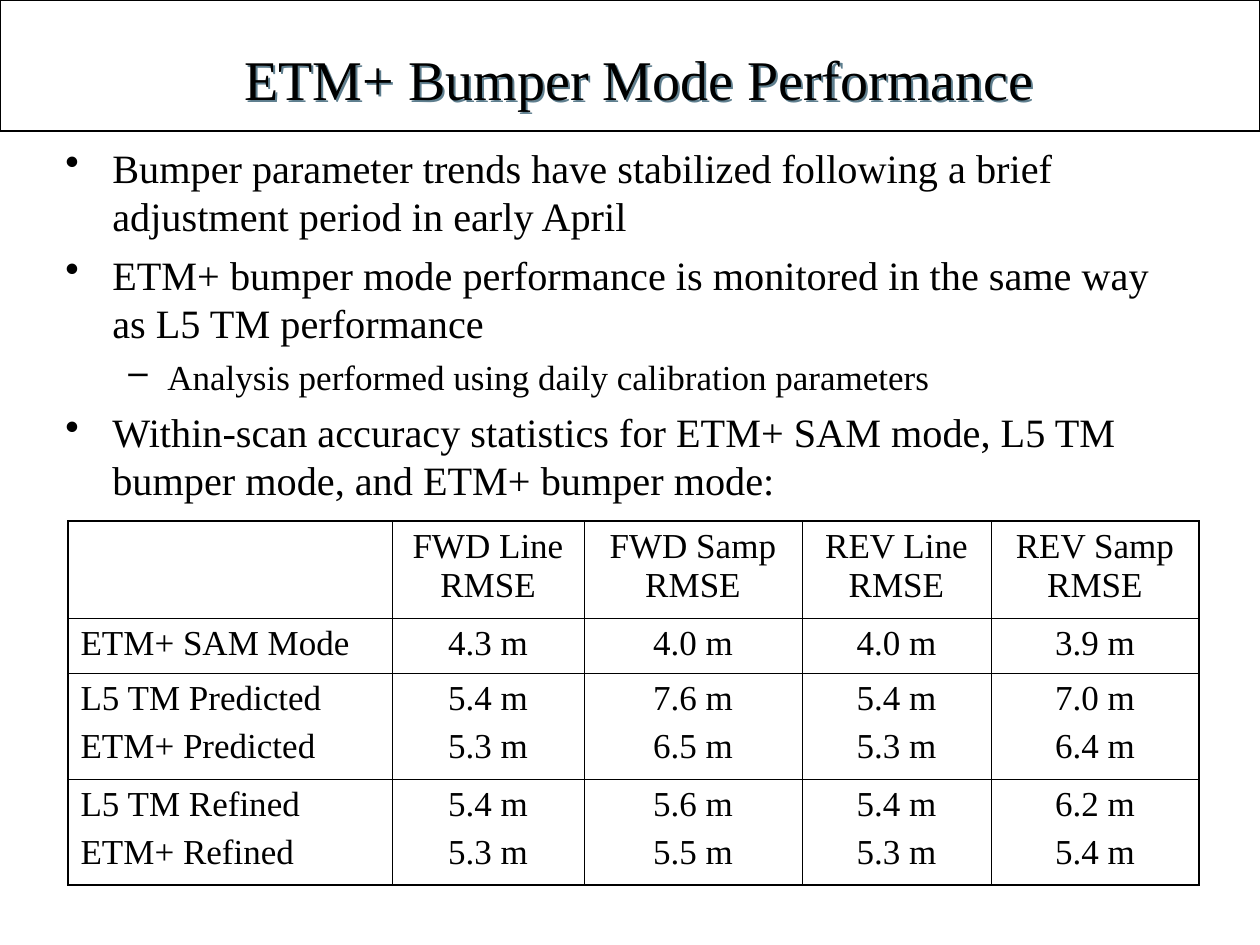
from lxml import etree
from pptx import Presentation
from pptx import util as u
from pptx.dml.color import RGBColor
from pptx.enum import shapes, text
from pptx.oxml import ns

FONT = "Times New Roman"
COLORS = {"paper": "FFFFFF", "ink": "000000", "shadow": "5F7F8F"}
CENTER, LEFT = text.PP_ALIGN.CENTER, text.PP_ALIGN.LEFT

# Bullet character, size, left margin, hanging indent, space before
LEVELS = [("•", 23, 47, 47, 5.8), ("–", 20, 102, 39, 5)]
BULLETS = [
    (0, "Bumper parameter trends have stabilized following a brief adjustment period in early April"),
    (0, "ETM+ bumper mode performance is monitored in the same way as L5 TM performance"),
    (1, "Analysis performed using daily calibration parameters"),
    (0, "Within-scan accuracy statistics for ETM+ SAM mode, L5 TM bumper mode, and ETM+ bumper mode:"),
]
COLUMN_WIDTHS = [324, 192, 218, 189, 208]
ROW_HEIGHTS = [97, 55, 106, 106]
# Each cell is a list of lines
STATISTICS = [
    [[], ["FWD Line RMSE"], ["FWD Samp RMSE"], ["REV Line RMSE"], ["REV Samp RMSE"]],
    [["ETM+ SAM Mode"], ["4.3 m"], ["4.0 m"], ["4.0 m"], ["3.9 m"]],
    [["L5 TM Predicted", "ETM+ Predicted"],
     ["5.4 m", "5.3 m"], ["7.6 m", "6.5 m"], ["5.4 m", "5.3 m"], ["7.0 m", "6.4 m"]],
    [["L5 TM Refined", "ETM+ Refined"],
     ["5.4 m", "5.3 m"], ["5.6 m", "5.5 m"], ["5.4 m", "5.3 m"], ["6.2 m", "5.4 m"]],
]


def px(length):
    return u.Emu(round(length * 914400 / 126))


def rgb(name):
    return RGBColor.from_string(COLORS[name])


def add_element(parent, tag, **attributes):
    element = etree.SubElement(parent, ns.qn(tag))
    for name, value in attributes.items():
        element.set(name, str(value))
    return element


def add_text(frame, words, size=20, align=LEFT, before=0, bullet=None, margin=0, hanging=0):
    """Fill the first empty paragraph of the frame, or append another one."""
    paragraph = frame.paragraphs[0]
    if paragraph.runs:
        paragraph = frame.add_paragraph()
        paragraph.space_before = u.Pt(before)
    paragraph.alignment = align
    if bullet:
        properties = paragraph._p.get_or_add_pPr()
        properties.set("marL", str(px(margin)))
        properties.set("indent", str(-px(hanging)))
        add_element(properties, "a:buChar", char=bullet)
    run = paragraph.add_run()
    run.text = words
    run.font.size = u.Pt(size)
    run.font.name = FONT
    run.font.color.rgb = rgb("ink")


def add_text_box(slide, left, top, width, height):
    box = slide.shapes.add_textbox(px(left), px(top), px(width), px(height))
    box.text_frame.word_wrap = True
    return box


def add_title_band(slide, left, top, width, height):
    # Outlined band
    band = slide.shapes.add_shape(shapes.MSO_SHAPE.RECTANGLE,
                                  px(left), px(top), px(width), px(height))
    band.shadow.inherit = False
    band.fill.solid()
    band.fill.fore_color.rgb = rgb("paper")
    band.line.color.rgb = rgb("ink")
    band.line.width = u.Pt(0.75)

    # Title: the shadow of an unfilled box falls from its letters
    title = add_text_box(slide, left + 62, top + 32, width - 105, height - 39)
    title.text_frame.vertical_anchor = text.MSO_ANCHOR.MIDDLE
    add_text(title.text_frame, "ETM+ Bumper Mode Performance", size=32, align=CENTER)
    effects = add_element(title._element.spPr, "a:effectLst")
    shadow = add_element(effects, "a:outerShdw", dist=px(3), dir=2700000, algn="ctr", rotWithShape=0)
    add_element(shadow, "a:srgbClr", val=COLORS["shadow"])


def add_bullets(slide, left, top, width, height):
    frame = add_text_box(slide, left, top, width, height).text_frame
    for level, words in BULLETS:
        bullet, size, margin, hanging, before = LEVELS[level]
        add_text(frame, words, size=size, before=before,
                 bullet=bullet, margin=margin, hanging=hanging)


def set_borders(cell, outer_sides):
    properties = cell._tc.get_or_add_tcPr()
    for index, side in enumerate("LRTB"):
        width = u.Pt(1.08 if side in outer_sides else 0.45)
        line = etree.Element(ns.qn(f"a:ln{side}"), w=str(int(width)))
        add_element(add_element(line, "a:solidFill"), "a:srgbClr", val=COLORS["ink"])
        properties.insert(index, line)


def add_statistics_table(slide, left, top):
    rows, columns = len(ROW_HEIGHTS), len(COLUMN_WIDTHS)
    table = slide.shapes.add_table(rows, columns, px(left), px(top),
                                   px(sum(COLUMN_WIDTHS)), px(sum(ROW_HEIGHTS))).table
    table.first_row = table.horz_banding = False
    for column, width in zip(table.columns, COLUMN_WIDTHS):
        column.width = px(width)
    for row, height in zip(table.rows, ROW_HEIGHTS):
        row.height = px(height)

    for r, row in enumerate(STATISTICS):
        for c, lines in enumerate(row):
            cell = table.cell(r, c)
            cell.fill.background()
            cell.margin_left = cell.margin_right = u.Inches(0.1)
            cell.margin_top = cell.margin_bottom = u.Inches(0.05)
            for words in lines:
                add_text(cell.text_frame, words, align=CENTER if c else LEFT, before=5)
            edges = {"L": c == 0, "R": c == columns - 1, "T": r == 0, "B": r == rows - 1}
            set_borders(cell, [side for side, outer in edges.items() if outer])


def main():
    presentation = Presentation()
    presentation.slide_width, presentation.slide_height = px(1260), px(945)
    slide = presentation.slides.add_slide(presentation.slide_layouts[6])
    add_title_band(slide, 0, 0, 1260, 131)
    add_bullets(slide, 53, 137, 1115, 682)
    add_statistics_table(slide, 68, 521)
    presentation.save("out.pptx")


if __name__ == "__main__":
    main()
